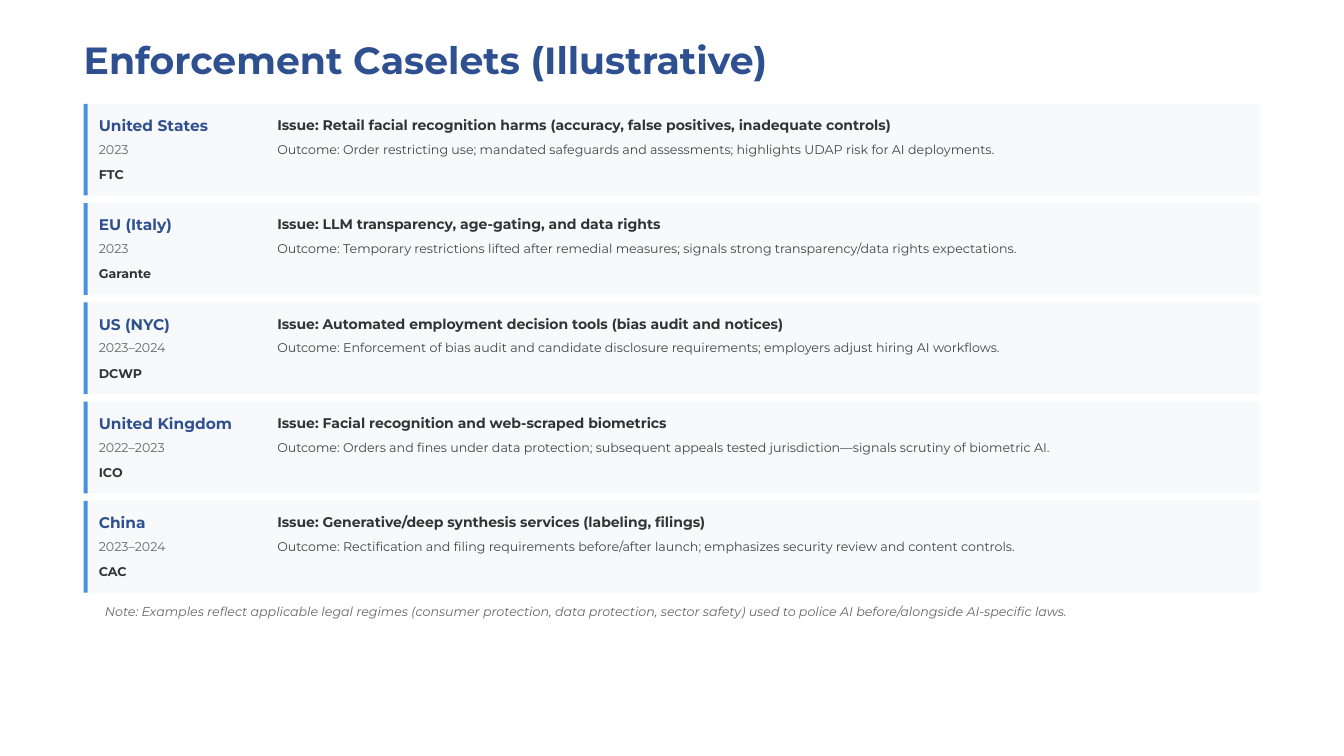
from pptx import Presentation
from pptx.dml.color import RGBColor
from pptx.enum.shapes import MSO_SHAPE
from pptx.enum.text import MSO_ANCHOR, MSO_AUTO_SIZE, PP_ALIGN
from pptx.util import Inches, Pt

RECTANGLE = MSO_SHAPE.RECTANGLE
MIDDLE = MSO_ANCHOR.MIDDLE
NO_AUTOFIT = MSO_AUTO_SIZE.NONE
LEFT = PP_ALIGN.LEFT

FONT = "Montserrat"
NAVY = RGBColor(0x2E, 0x50, 0x90)
BLUE = RGBColor(0x4A, 0x90, 0xE2)
PALE = RGBColor(0xF8, 0xF9, 0xFA)
DARK = RGBColor(0x33, 0x33, 0x33)
SLATE = RGBColor(0x44, 0x44, 0x44)
GREY = RGBColor(0x66, 0x66, 0x66)

TITLE = "Enforcement Caselets (Illustrative)"
NOTE = ("Note: Examples reflect applicable legal regimes (consumer protection, data protection, "
        "sector safety) used to police AI before/alongside AI-specific laws.")
CASELETS = [
    ("United States", "2023", "FTC",
     "Issue: Retail facial recognition harms (accuracy, false positives, inadequate controls)",
     "Outcome: Order restricting use; mandated safeguards and assessments; "
     "highlights UDAP risk for AI deployments."),
    ("EU (Italy)", "2023", "Garante",
     "Issue: LLM transparency, age-gating, and data rights",
     "Outcome: Temporary restrictions lifted after remedial measures; "
     "signals strong transparency/data rights expectations."),
    ("US (NYC)", "2023–2024", "DCWP",
     "Issue: Automated employment decision tools (bias audit and notices)",
     "Outcome: Enforcement of bias audit and candidate disclosure requirements; "
     "employers adjust hiring AI workflows."),
    ("United Kingdom", "2022–2023", "ICO",
     "Issue: Facial recognition and web-scraped biometrics",
     "Outcome: Orders and fines under data protection; subsequent appeals tested "
     "jurisdiction—signals scrutiny of biometric AI."),
    ("China", "2023–2024", "CAC",
     "Issue: Generative/deep synthesis services (labeling, filings)",
     "Outcome: Rectification and filing requirements before/after launch; "
     "emphasizes security review and content controls."),
]


def write_line(frame, text, size, color, bold=False, italic=False):
    """Write one left-aligned line into a frame without margins."""
    frame.margin_left = frame.margin_top = frame.margin_right = frame.margin_bottom = 0
    frame.word_wrap = True
    frame.auto_size = NO_AUTOFIT
    frame.vertical_anchor = MIDDLE
    paragraph = frame.paragraphs[0]
    paragraph.alignment = LEFT
    run = paragraph.add_run()
    run.text = text
    run.font.name = FONT
    run.font.size = Pt(size)
    run.font.color.rgb = color
    run.font.bold = bold
    run.font.italic = italic


def add_line(slide, box, text, size, color, bold=False, italic=False):
    """Add a text box holding one line."""
    write_line(slide.shapes.add_textbox(*box).text_frame, text, size, color, bold, italic)


def add_block(slide, box, color):
    """Add a plain filled rectangle."""
    block = slide.shapes.add_shape(RECTANGLE, *box)
    block.shadow.inherit = False
    block.fill.solid()
    block.fill.fore_color.rgb = color
    block.line.fill.background()


def add_title(slide, box):
    """Place and format the title placeholder."""
    title = slide.shapes.title
    title.left, title.top, title.width, title.height = box
    write_line(title.text_frame, TITLE, 27, NAVY, bold=True)


def add_caselet(slide, box, caselet):
    """Draw one caselet card with its accent bar and five lines."""
    left, top, width, height = box
    region, years, agency, issue, outcome = caselet
    add_block(slide, box, PALE)
    add_block(slide, (left, top, Inches(0.04), height), BLUE)

    label_left, label_width = left + Inches(0.15), Inches(1.65)
    detail_left = left + Inches(1.92)
    detail_width = left + width - detail_left
    heading_top, second_top, agency_top = (top + Inches(y) for y in (0.115, 0.365, 0.595))
    add_line(slide, (label_left, heading_top, label_width, Inches(0.2)), region, 11, NAVY, bold=True)
    add_line(slide, (label_left, second_top, label_width, Inches(0.17)), years, 9, GREY)
    add_line(slide, (label_left, agency_top, label_width, Inches(0.21)), agency, 9, DARK, bold=True)
    add_line(slide, (detail_left, heading_top, detail_width, Inches(0.19)), issue, 10, DARK, bold=True)
    add_line(slide, (detail_left, second_top, detail_width, Inches(0.17)), outcome, 9, SLATE)


def add_caselets(slide, box):
    """Stack the caselet cards evenly in the box."""
    left, top, width, height = box
    card_height = Inches(0.91)
    pitch = (height - card_height) // (len(CASELETS) - 1)
    for row, caselet in enumerate(CASELETS):
        add_caselet(slide, (left, top + row * pitch, width, card_height), caselet)


def main():
    """Build and save the slide."""
    deck = Presentation()
    deck.slide_width, deck.slide_height = Inches(13.33), Inches(7.5)
    slide = deck.slides.add_slide(deck.slide_layouts[5])
    left, width = Inches(0.83), Inches(11.67)
    add_title(slide, (left, Inches(0.36), Inches(7.06), Inches(0.46)))
    add_caselets(slide, (left, Inches(1.03), width, Inches(4.85)))
    add_line(slide, (Inches(1.04), Inches(5.98), Inches(10.32), Inches(0.17)),
             NOTE, 9, GREY, italic=True)
    deck.save("out.pptx")


if __name__ == "__main__":
    main()
